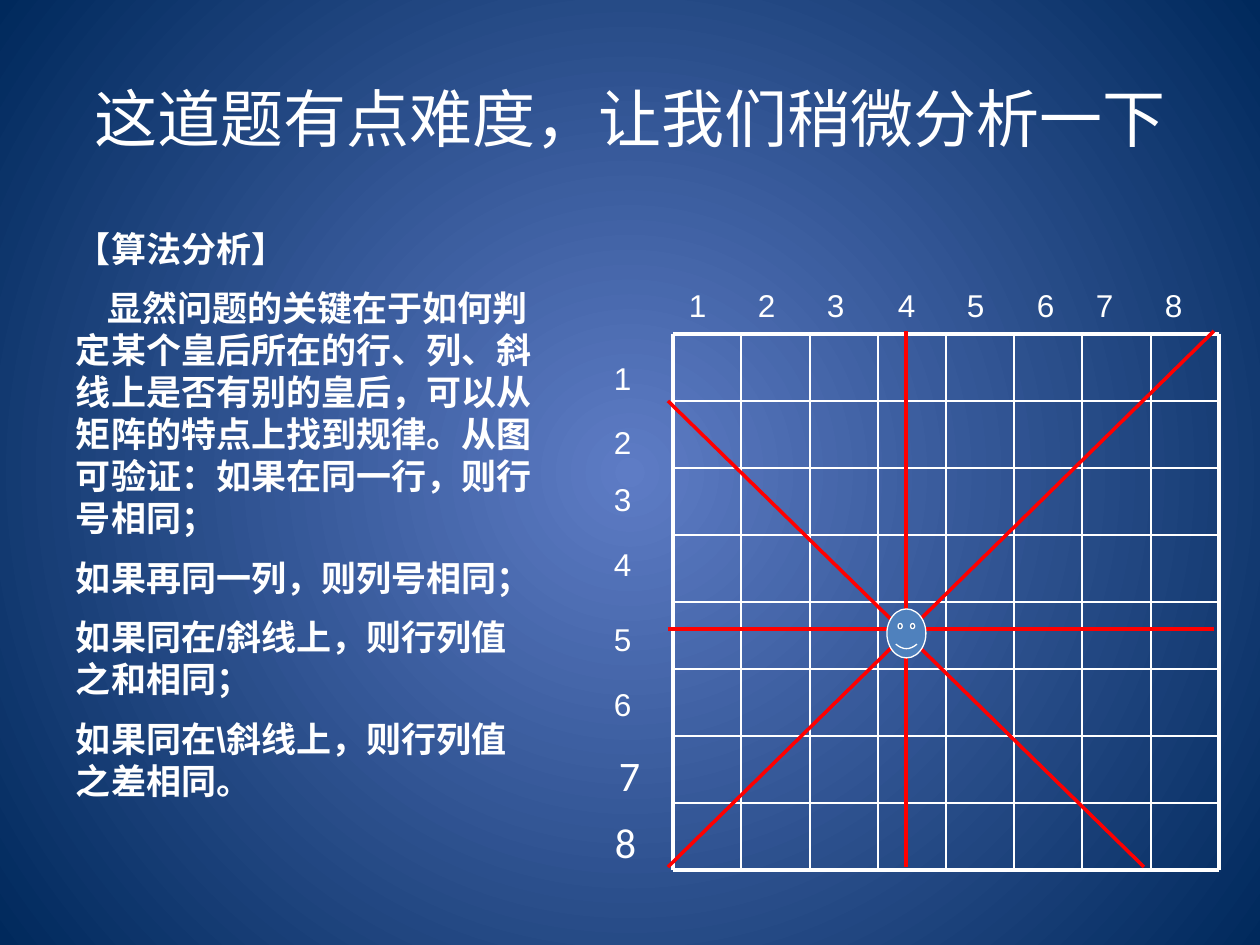
import pptx
import pptx.util
import pptx.dml.color
import pptx.enum.shapes
import pptx.enum.text
import pptx.oxml
import pptx.oxml.ns
import lxml.etree

PIXEL = 914400 // 126
WHITE = "FFFFFF"
RED = "FF0000"
qn = pptx.oxml.ns.qn
color = pptx.dml.color.RGBColor.from_string


def add_text(box, paragraphs, font_name, size, bold=False, margin_left=13):
    shape = slide.shapes.add_textbox(*[value * PIXEL for value in box])
    frame = shape.text_frame
    frame.word_wrap = True
    frame.margin_left = margin_left * PIXEL
    frame.text = "\n".join(paragraphs)
    for paragraph in frame.paragraphs:
        paragraph.font.name = font_name
        paragraph.font.size = pptx.util.Pt(size)
        paragraph.font.bold = bold
        paragraph.font.color.rgb = color(WHITE)
    return frame


def add_line(start_x, start_y, end_x, end_y, line_color, width):
    line = slide.shapes.add_connector(
        pptx.enum.shapes.MSO_CONNECTOR.STRAIGHT,
        start_x * PIXEL, start_y * PIXEL, end_x * PIXEL, end_y * PIXEL)
    line.line.color.rgb = color(line_color)
    line.line.width = pptx.util.Pt(width)
    lxml.etree.SubElement(line._element.spPr, qn("a:effectLst"))


presentation = pptx.Presentation()
presentation.slide_width = pptx.util.Inches(10)
presentation.slide_height = pptx.util.Inches(7.5)
slide = presentation.slides.add_slide(presentation.slide_layouts[6])

background = slide.background.fill
background.gradient()
for stop, position, stop_color in zip(background.gradient_stops, (0, 1), ("5E7CC5", "00295C")):
    stop.position = position
    stop.color.rgb = color(stop_color)
gradient = slide.element.find(".//" + qn("a:gradFill"))
gradient.remove(gradient.find(qn("a:lin")))
circle = lxml.etree.SubElement(gradient, qn("a:path"), {"path": "circle"})
lxml.etree.SubElement(circle, qn("a:fillToRect"), dict.fromkeys("ltrb", "50000"))

title = add_text((63, 38, 1134, 158), ["这道题有点难度，让我们稍微分析一下"], "Calibri", 36)
title.vertical_anchor = pptx.enum.text.MSO_ANCHOR.MIDDLE
title.paragraphs[0].alignment = pptx.enum.text.PP_ALIGN.CENTER

analysis = add_text((63, 221, 488, 670), [
    "【算法分析】",
    "显然问题的关键在于如何判定某个皇后所在的行、列、斜线上是否有别的皇后，"
    "可以从矩阵的特点上找到规律。从图可验证：如果在同一行，则行号相同；",
    "如果再同一列，则列号相同；",
    "如果同在/斜线上，则行列值之和相同；",
    "如果同在\\斜线上，则行列值之差相同。",
], "Arial", 20, bold=True)
for paragraph in analysis.paragraphs[1:]:
    paragraph.space_before = pptx.util.Pt(10)
analysis.paragraphs[1]._p.get_or_add_pPr().set("indent", str(31 * PIXEL))

column_lefts = [668, 737, 806, 877, 946, 1016, 1075, 1144]
for number, left in enumerate(column_lefts, 1):
    add_text((left, 280, 69, 50), [str(number)], "Arial", 18, margin_left=21)
row_tops = [353, 417, 474, 539, 614, 679]
for number, top in enumerate(row_tops, 1):
    add_text((593, top, 69, 50), [str(number)], "Arial", 18, margin_left=21)

board_left, board_top, board_right, board_bottom = 673, 334, 1219, 870
for index in range(9):
    width = 2.25 if index in (0, 8) else 1
    x = round(board_left + index * (board_right - board_left) / 8)
    y = round(board_top + index * (board_bottom - board_top) / 8)
    add_line(board_left, y, board_right, y, WHITE, width)
    add_line(x, board_top, x, board_bottom, WHITE, width)

attack_lines = [
    (668, 867, 1214, 331),
    (668, 401, 1144, 867),
    (906, 331, 906, 867),
    (668, 629, 1214, 629),
]
for ends in attack_lines:
    add_line(*ends, RED, 2)

queen = slide.shapes.add_shape(
    pptx.enum.shapes.MSO_SHAPE.SMILEY_FACE,
    887 * PIXEL, 609 * PIXEL, 39 * PIXEL, 49 * PIXEL)
queen.shadow.inherit = False
queen.fill.solid()
queen.fill.fore_color.rgb = color("4F81BD")
queen.line.color.rgb = color(WHITE)
queen.line.width = pptx.util.Pt(0.75)

add_text((606, 743, 55, 63), ["7"], "Calibri", 24)
add_text((602, 810, 63, 63), ["8"], "Calibri", 24)

presentation.save("out.pptx")
